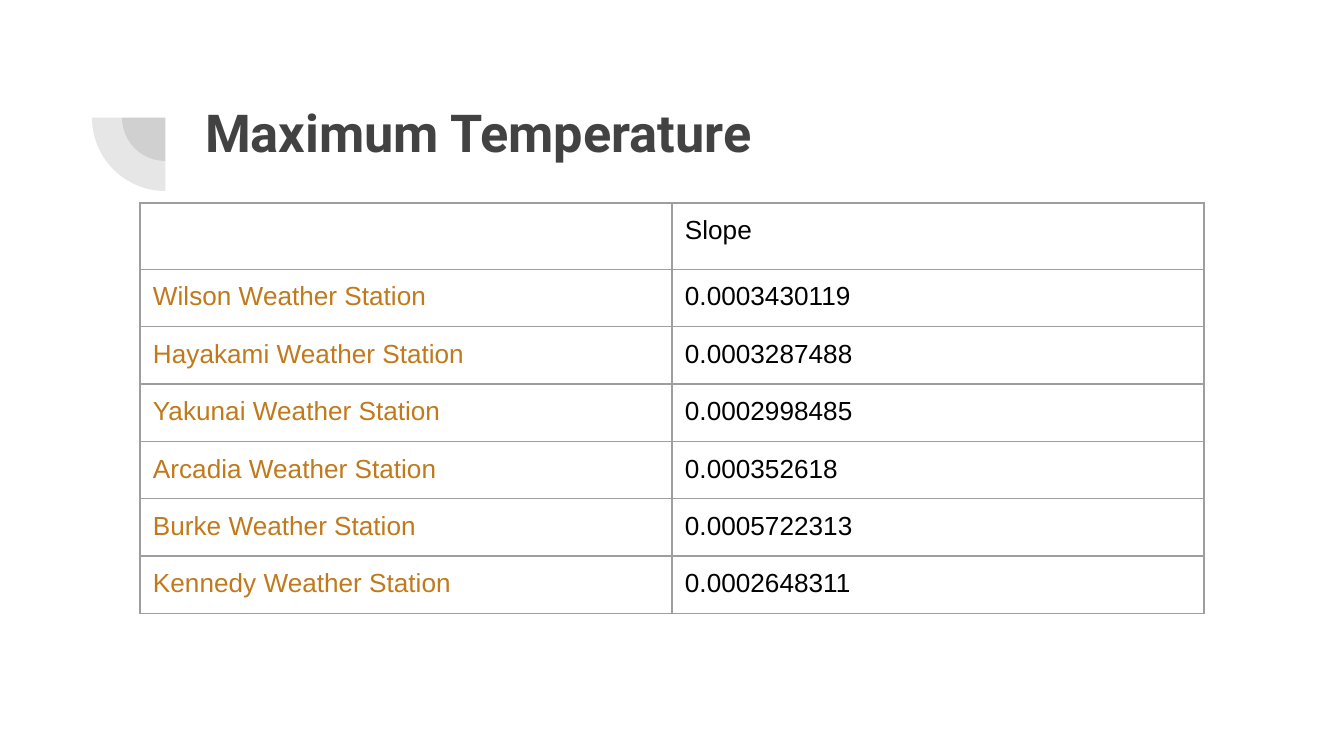
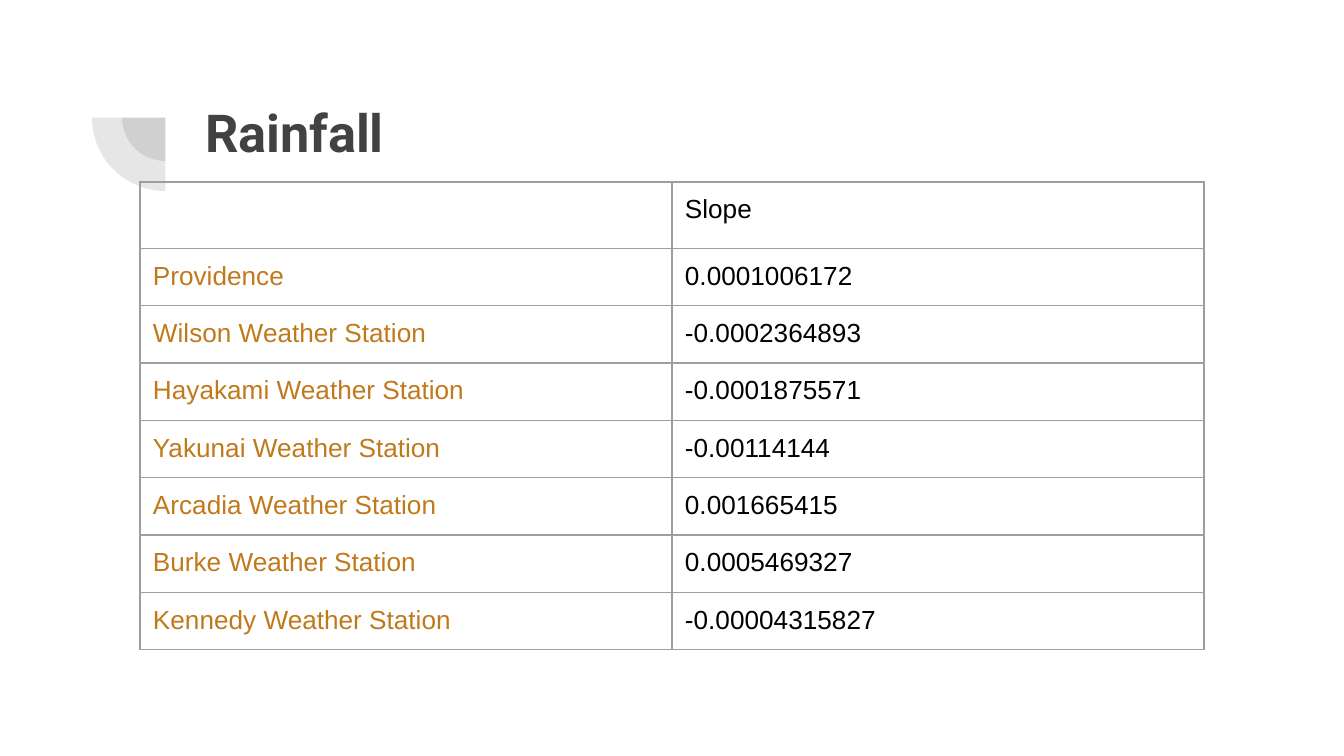
from lxml.etree import SubElement
from pptx import Presentation
from pptx.dml.color import RGBColor
from pptx.enum.shapes import MSO_SHAPE
from pptx.oxml.ns import qn
from pptx.util import Emu, Pt

SCALE = 914400 / 134.4
COLORS = {
    "paper": "FFFFFF",
    "title": "424242",
    "label": "C0791B",
    "value": "000000",
    "border": "9E9E9E",
}
PAD = 13
ROW = 56
TITLE_BOX = (192, 87, 1034, 147)
BADGE_BOX = (92, 44, 147, 147)
TABLE_LEFT, TABLE_WIDTH = 140, 1064

STATIONS = [name + " Weather Station" for name in
            ("Wilson", "Hayakami", "Yakunai", "Arcadia", "Burke", "Kennedy")]
SLIDES = [
    ("Maximum Temperature", 203, list(zip(STATIONS, [
        "0.0003430119", "0.0003287488", "0.0002998485",
        "0.000352618", "0.0005722313", "0.0002648311"]))),
    ("Rainfall", 182, list(zip(["Providence"] + STATIONS, [
        "0.0001006172", "-0.0002364893", "-0.0001875571", "-0.00114144",
        "0.001665415", "0.0005469327", "-0.00004315827"]))),
]


def px(count):
    return Emu(round(count * SCALE))


def color(name):
    return RGBColor.from_string(COLORS[name])


def style(font, face, size, tone, bold=False):
    font.name = face
    font.size = Pt(size)
    font.bold = bold
    font.color.rgb = color(tone)


def pad(box):
    box.margin_left = box.margin_right = px(PAD)
    box.margin_top = box.margin_bottom = px(PAD)


def add_badge(slide, box):
    left, top, width, height = box
    for inset in (30, 0):
        pie = slide.shapes.add_shape(
            MSO_SHAPE.PIE, px(left + inset), px(top + inset),
            px(width - 2 * inset), px(height - 2 * inset))
        pie.adjustments[0] = 108
        pie.adjustments[1] = 162
        pie.rotation = 270
        pie.shadow.inherit = False
        pie.line.fill.background()
        pie.fill.solid()
        pie.fill.fore_color.rgb = color("title")
        tint = pie.fill._xPr.find(".//" + qn("a:srgbClr"))
        SubElement(tint, qn("a:alpha"), val="13000")


def add_title(slide, box, text):
    frame = slide.shapes.add_textbox(*map(px, box)).text_frame
    frame.word_wrap = True
    pad(frame)
    line = frame.paragraphs[0]
    line.text = text
    style(line.font, "Roboto", 28, "title", True)


def add_border(cell):
    props = cell._tc.get_or_add_tcPr()
    for side in ("lnL", "lnR", "lnT", "lnB"):
        edge = SubElement(props, qn("a:" + side), w=str(Pt(0.75)))
        fill = SubElement(edge, qn("a:solidFill"))
        SubElement(fill, qn("a:srgbClr"), val=COLORS["border"])


def add_grid(slide, box, rows):
    table = slide.shapes.add_table(len(rows), 2, *map(px, box)).table
    table.first_row = table.horz_banding = False
    for y, row in enumerate(rows):
        for x, text in enumerate(row):
            cell = table.cell(y, x)
            pad(cell)
            add_border(cell)
            cell.fill.background()
            if text:
                line = cell.text_frame.paragraphs[0]
                line.text = text
                style(line.font, "Arial", 14, ("label", "value")[x])


def add_slide(deck, title, top, rows):
    slide = deck.slides.add_slide(deck.slide_layouts[6])
    slide.background.fill.solid()
    slide.background.fill.fore_color.rgb = color("paper")
    add_badge(slide, BADGE_BOX)
    add_title(slide, TITLE_BOX, title)
    rows = [("", "Slope")] + rows
    add_grid(slide, (TABLE_LEFT, top, TABLE_WIDTH, ROW * len(rows)), rows)


def main():
    deck = Presentation()
    deck.slide_width, deck.slide_height = px(1344), px(756)
    for title, top, rows in SLIDES:
        add_slide(deck, title, top, rows)
    deck.save("out.pptx")


if __name__ == "__main__":
    main()
